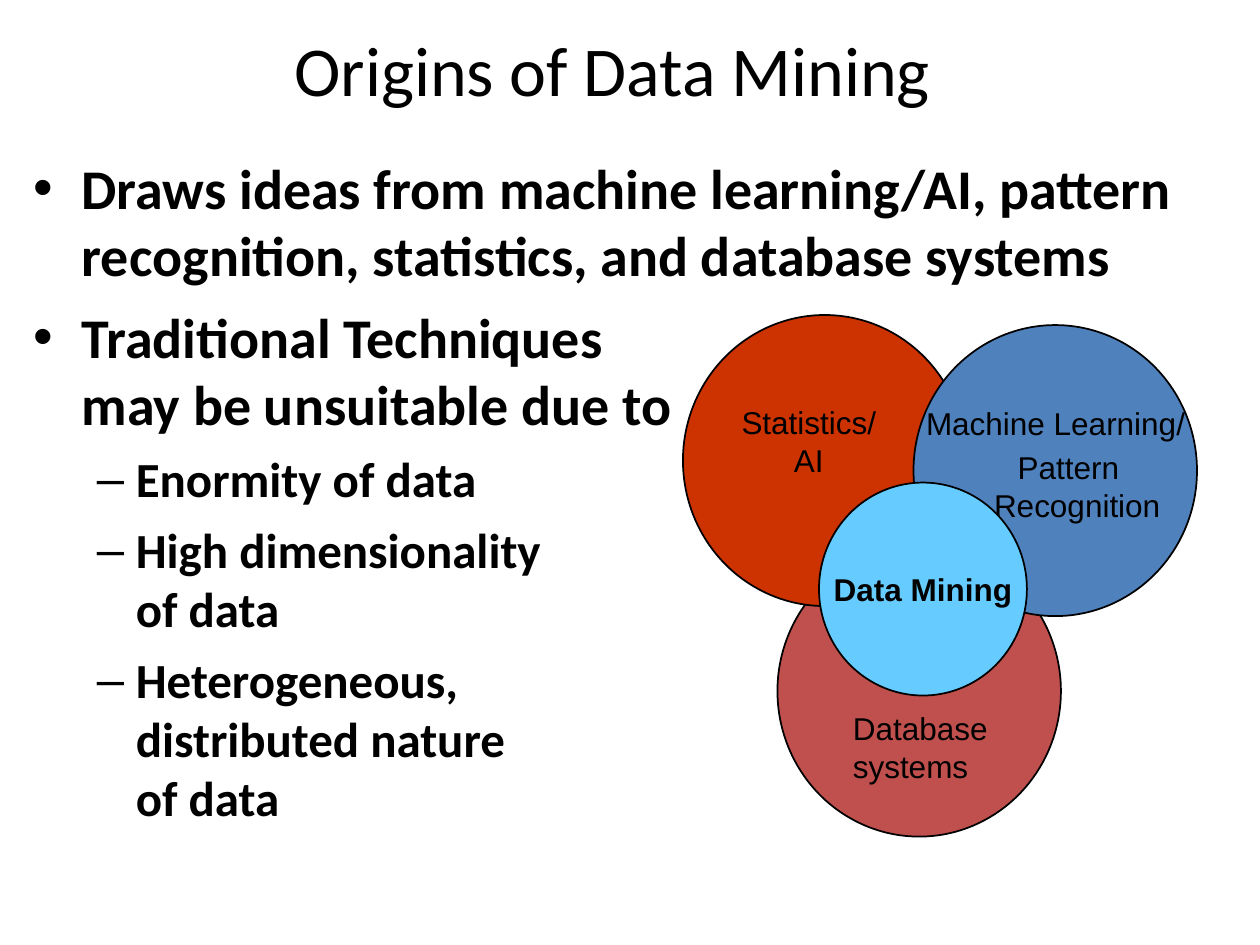
from lxml.etree import SubElement
from pptx import Presentation
from pptx.dml.color import RGBColor
from pptx.enum.shapes import MSO_SHAPE
from pptx.enum.text import MSO_ANCHOR, PP_ALIGN
from pptx.oxml.ns import qn
from pptx.util import Inches, Pt

COLORS = {
    "text": "000000",
    "database": "C0504D",
    "statistics": "CC3300",
    "learning": "4F81BD",
    "mining": "66CCFF",
}
LEVELS = [
    {"bullet": "•", "margin": 0.38, "hanging": 0.38, "size": 32, "before": 8},
    {"bullet": "–", "margin": 0.81, "hanging": 0.31, "size": 28, "before": 7},
]
POINTS = [
    (0, "Draws ideas from machine learning/AI, pattern recognition, statistics, and database systems"),
    (0, "Traditional Techniques\nmay be unsuitable due to"),
    (1, "Enormity of data"),
    (1, "High dimensionality\nof data"),
    (1, "Heterogeneous,\ndistributed nature\nof data"),
]


def color(name):
    """Return the named colour."""
    return RGBColor.from_string(COLORS[name])


def style(paragraph, size, font="Arial", bold=False, align=PP_ALIGN.LEFT):
    """Set the font and alignment of a paragraph."""
    paragraph.alignment = align
    paragraph.font.name = font
    paragraph.font.size = Pt(size)
    paragraph.font.bold = bold
    paragraph.font.color.rgb = color("text")


def add_box(slide, left, top, width, height, inset=0.1):
    """Add a wrapping text box and return its text frame."""
    box = slide.shapes.add_textbox(Inches(left), Inches(top), Inches(width), Inches(height))
    frame = box.text_frame
    frame.word_wrap = True
    frame.margin_left = frame.margin_right = Inches(inset)
    return frame


def add_title(slide, text):
    """Add the centred slide title."""
    frame = add_box(slide, 0.33, 0.25, 9.06, 0.58, inset=0)
    frame.vertical_anchor = MSO_ANCHOR.MIDDLE
    frame.text = text
    style(frame.paragraphs[0], 40, "Calibri", align=PP_ALIGN.CENTER)


def add_points(slide, points):
    """Add the two-level bullet list."""
    frame = add_box(slide, 0.17, 1.17, 9.67, 6)
    for index, (depth, text) in enumerate(points):
        level = LEVELS[depth]
        paragraph = frame.add_paragraph() if index else frame.paragraphs[0]
        paragraph.text = text
        paragraph.level = depth
        if index:
            paragraph.space_before = Pt(level["before"])
        properties = paragraph._p.get_or_add_pPr()
        properties.set("marL", str(Inches(level["margin"])))
        properties.set("indent", str(-Inches(level["hanging"])))
        SubElement(properties, qn("a:buFont")).set("typeface", "Arial")
        SubElement(properties, qn("a:buChar")).set("char", level["bullet"])
        style(paragraph, level["size"], "Calibri", bold=True)


def add_circle(slide, field, left, top, width=2.25, height=2.31):
    """Add one outlined circle of the diagram."""
    circle = slide.shapes.add_shape(
        MSO_SHAPE.OVAL, Inches(left), Inches(top), Inches(width), Inches(height)
    )
    circle.shadow.inherit = False
    circle.fill.solid()
    circle.fill.fore_color.rgb = color(field)
    circle.line.color.rgb = color("text")
    circle.line.width = Pt(1)
    return circle


def add_label(slide, lines, place, align=PP_ALIGN.LEFT, inset=0.1):
    """Add a field label and return its paragraphs."""
    frame = add_box(slide, *place, inset=inset)
    for index, line in enumerate(lines):
        paragraph = frame.add_paragraph() if index else frame.paragraphs[0]
        paragraph.text = line
        style(paragraph, 18, align=align)
    return frame.paragraphs


def add_diagram(slide):
    """Add the overlapping fields with data mining at their centre."""
    add_circle(slide, "database", 6.17, 4.33)
    add_circle(slide, "statistics", 5.42, 2.5)
    add_circle(slide, "learning", 7.25, 2.58)
    learning, recognition = add_label(
        slide, ["Machine Learning/", "Pattern \n Recognition"], (7.35, 3.16, 2.33, 1.05), inset=0
    )
    recognition.alignment = PP_ALIGN.CENTER
    recognition.space_before = Pt(3.4)
    add_label(slide, ["Statistics/\nAI"], (5.67, 3.15, 1.5, 0.7), PP_ALIGN.CENTER)
    mining = add_circle(slide, "mining", 6.5, 3.83, 1.65, 1.69).text_frame
    mining.word_wrap = False
    mining.vertical_anchor = MSO_ANCHOR.MIDDLE
    mining.text = "Data Mining"
    style(mining.paragraphs[0], 18, bold=True, align=PP_ALIGN.CENTER)
    add_label(slide, ["Database systems"], (6.67, 5.58, 1.58, 0.7))


def main():
    """Build the slide and save it."""
    presentation = Presentation()
    presentation.slide_width = Inches(10)
    presentation.slide_height = Inches(7.5)
    slide = presentation.slides.add_slide(presentation.slide_layouts[6])
    add_title(slide, "Origins of Data Mining")
    add_points(slide, POINTS)
    add_diagram(slide)
    presentation.save("out.pptx")


if __name__ == "__main__":
    main()
